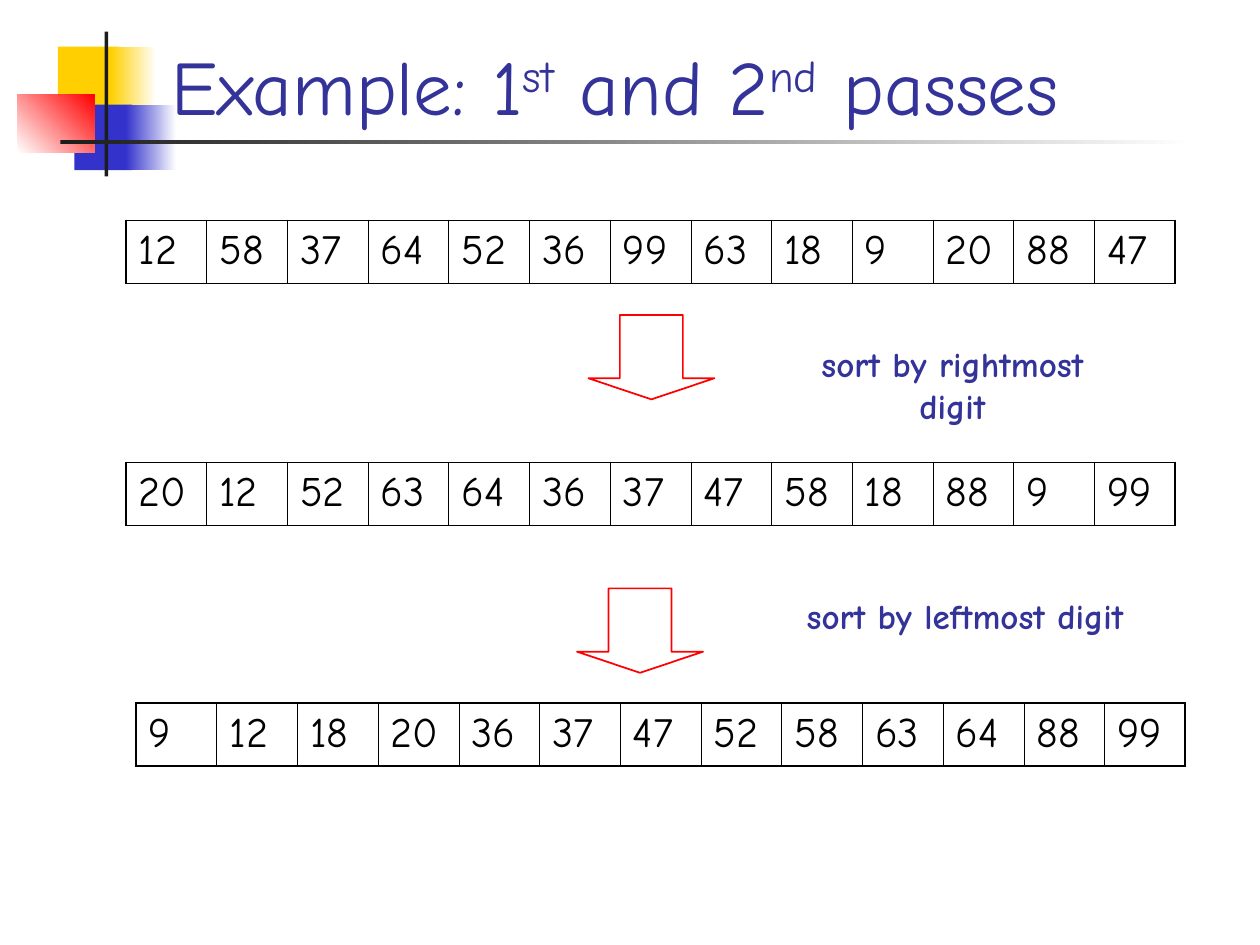
from lxml.etree import SubElement
from pptx import Presentation
from pptx.dml.color import RGBColor
from pptx.enum.shapes import MSO_SHAPE
from pptx.enum.text import MSO_ANCHOR, MSO_AUTO_SIZE, PP_ALIGN
from pptx.oxml.ns import qn
from pptx.util import Inches, Pt

FONT = "Comic Neue"
NAVY = "333399"
TITLE = [("Example: 1", False), ("st", True), (" and 2", False), ("nd", True), (" passes", False)]
DECORATIONS = [
    (0.46, 0.37, 0.48, 0.52, ["FFCF01"], 0),
    (0.88, 0.37, 0.36, 0.52, ["FFCF01", "FFFFFF"], 0),
    (0.59, 0.83, 0.46, 0.52, ["3333CC"], 0),
    (1, 0.83, 0.4, 0.52, ["3333CC", "FFFFFF"], 0),
    (0.14, 0.75, 0.61, 0.46, ["FFFFFF", "FF0000"], 45),
    (0.83, 0.25, 0.03, 1.15, ["1C1C1C"], 0),
    (0.48, 1.11, 9, 0.03, ["1C1C1C", "FFFFFF"], 0),
]
PASSES = [
    (1, 1.75, [12, 58, 37, 64, 52, 36, 99, 63, 18, 9, 20, 88, 47]),
    (1, 3.67, [20, 12, 52, 63, 64, 36, 37, 47, 58, 18, 88, 9, 99]),
    (1.08, 5.58, [9, 12, 18, 20, 36, 37, 47, 52, 58, 63, 64, 88, 99]),
]
ARROWS = [(4.67, 2.5), (4.58, 4.67)]
LABELS = [
    (6.11, 2.67, 2.9, "sort by rightmost digit"),
    (6.3, 4.67, 2.72, "sort by leftmost digit"),
]
TABLE_WIDTH, ROW_HEIGHT = 8.33, 0.5
OUTER, INNER = 1.08, 0.45


def color(value):
    return RGBColor.from_string(value)


def style(span, size, value, bold=False):
    span.font.name = FONT
    span.font.size = Pt(size)
    span.font.bold = bold
    span.font.color.rgb = color(value)


def add_decoration(page, left, top, width, height, colors, angle):
    block = page.shapes.add_shape(
        MSO_SHAPE.RECTANGLE, Inches(left), Inches(top), Inches(width), Inches(height))
    block.shadow.inherit = False
    block.line.fill.background()
    if len(colors) == 1:
        block.fill.solid()
        block.fill.fore_color.rgb = color(colors[0])
        return
    block.fill.gradient()
    block.fill.gradient_angle = angle
    for position, (stop, value) in enumerate(zip(block.fill.gradient_stops, colors)):
        stop.color.rgb = color(value)
        stop.position = position


def fill_title(page):
    title = page.shapes.title
    title.left, title.top, title.width, title.height = map(Inches, (1.26, 0.26, 8.52, 0.83))
    frame = title.text_frame
    frame.auto_size = MSO_AUTO_SIZE.NONE
    frame.vertical_anchor = MSO_ANCHOR.BOTTOM
    para = frame.paragraphs[0]
    para.alignment = PP_ALIGN.LEFT
    for text, raised in TITLE:
        span = para.add_run()
        span.text = text
        style(span, 44, NAVY)
        if raised:
            span.font._element.set("baseline", "30000")
    title.element.getparent().append(title.element)


def set_borders(cell, first, last):
    properties = cell._tc.get_or_add_tcPr()
    widths = {"a:lnL": OUTER if first else INNER, "a:lnR": OUTER if last else INNER,
              "a:lnT": OUTER, "a:lnB": OUTER}
    for tag, width in widths.items():
        line = SubElement(properties, qn(tag), w=str(Pt(width)))
        SubElement(SubElement(line, qn("a:solidFill")), qn("a:srgbClr"), val="000000")


def add_number_table(page, left, top, numbers):
    table = page.shapes.add_table(
        1, len(numbers), Inches(left), Inches(top), Inches(TABLE_WIDTH), Inches(ROW_HEIGHT)).table
    table.first_row = table.horz_banding = False
    for index, number in enumerate(numbers):
        table.columns[index].width = Inches(TABLE_WIDTH / len(numbers))
        cell = table.cell(0, index)
        cell.text = str(number)
        para = cell.text_frame.paragraphs[0]
        para.space_before = Pt(6)
        style(para.runs[0], 24, "000000")
        set_borders(cell, index == 0, index == len(numbers) - 1)
        cell.fill.background()


def add_arrow(page, left, top):
    arrow = page.shapes.add_shape(
        MSO_SHAPE.DOWN_ARROW, Inches(left), Inches(top), Inches(1), Inches(0.67))
    arrow.adjustments[0] = 0.5
    arrow.adjustments[1] = 0.25
    arrow.shadow.inherit = False
    arrow.fill.background()
    arrow.line.color.rgb = color("FF0000")
    arrow.line.width = Pt(1)


def add_label(page, left, top, width, text):
    box = page.shapes.add_textbox(Inches(left), Inches(top), Inches(width), Inches(0.44))
    frame = box.text_frame
    frame.text = text
    frame.word_wrap = False
    frame.auto_size = MSO_AUTO_SIZE.SHAPE_TO_FIT_TEXT
    para = frame.paragraphs[0]
    para.alignment = PP_ALIGN.CENTER
    para.space_before = Pt(12.5)
    style(para.runs[0], 20, NAVY, bold=True)


def main():
    deck = Presentation()
    deck.slide_width, deck.slide_height = Inches(10), Inches(7.5)
    page = deck.slides.add_slide(deck.slide_layouts[5])
    for decoration in DECORATIONS:
        add_decoration(page, *decoration)
    fill_title(page)
    for row in PASSES:
        add_number_table(page, *row)
    for arrow in ARROWS:
        add_arrow(page, *arrow)
    for label in LABELS:
        add_label(page, *label)
    deck.save("out.pptx")


if __name__ == "__main__":
    main()
